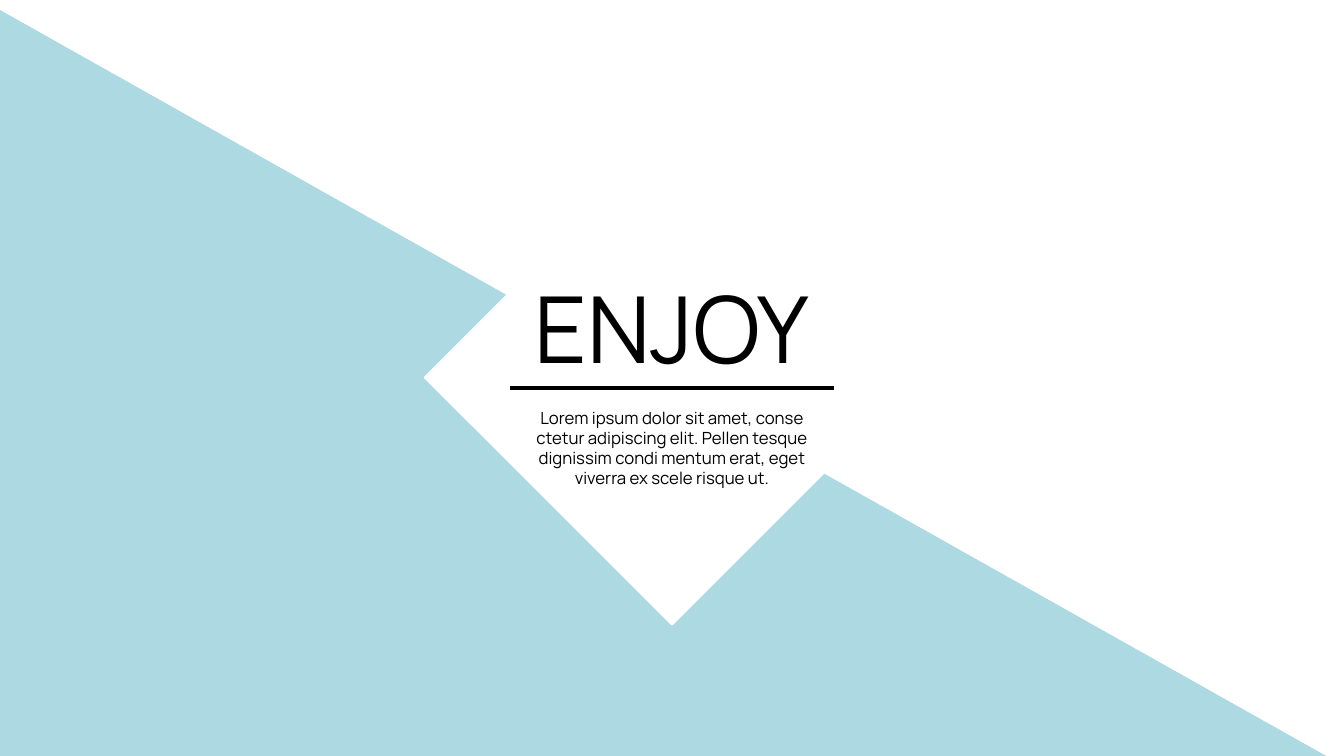
"""Build the closing slide: a split diagonal backdrop with a diamond and a message."""
from dataclasses import dataclass

from lxml.etree import SubElement
from pptx import Presentation
from pptx.dml.color import RGBColor
from pptx.enum.shapes import MSO_CONNECTOR as CONN, MSO_SHAPE as SHAPE
from pptx.enum.text import MSO_ANCHOR as ANCHOR, MSO_AUTO_SIZE as FIT, PP_ALIGN as ALIGN
from pptx.oxml.ns import qn
from pptx.shapes.placeholder import SlidePlaceholder
from pptx.slide import Slide
from pptx.util import Inches, Pt


@dataclass(frozen=True)
class Theme:
    """Colours, font and type sizes of the slide."""
    blue: RGBColor = RGBColor.from_string("ACD9E2")
    white: RGBColor = RGBColor.from_string("FFFFFF")
    black: RGBColor = RGBColor.from_string("000000")
    font: str = "Manrope"
    title: float = 66
    body: float = 12


@dataclass(frozen=True)
class Box:
    """A rectangle in inches."""
    left: float
    top: float
    width: float
    height: float

    def emu(self) -> tuple[int, ...]:
        """Return the rectangle as lengths for a shape."""
        return tuple(Inches(v) for v in (self.left, self.top, self.width, self.height))


@dataclass(frozen=True)
class Panel:
    """A filled shape with an outline of the same colour."""
    kind: SHAPE
    box: Box
    color: RGBColor


@dataclass(frozen=True)
class Rule:
    """A straight line between two points in inches."""
    start: tuple[float, float]
    end: tuple[float, float]
    color: RGBColor
    weight: float


THEME = Theme()
WIDTH, HEIGHT = 13.33, 7.5
PANELS = (
    Panel(SHAPE.RIGHT_TRIANGLE, Box(0, 0, WIDTH, HEIGHT), THEME.blue),
    Panel(SHAPE.DIAMOND, Box(4.21, 1.29, 4.91, 4.91), THEME.white),
)
RULES = (
    Rule((0, 0), (WIDTH, HEIGHT), THEME.white, 12.25),
    Rule((5.06, 3.85), (8.27, 3.85), THEME.black, 3),
)
MESSAGE = ("Lorem ipsum dolor sit amet, conse ctetur adipiscing elit. Pellen tesque "
           "dignissim condi mentum erat, eget viverra ex scele risque ut.")


def add_panel(s: Slide, panel: Panel) -> None:
    """Draw one filled panel."""
    sp = s.shapes.add_shape(panel.kind, *panel.box.emu())
    sp.shadow.inherit = False
    sp.fill.solid()
    sp.fill.fore_color.rgb = panel.color
    sp.line.color.rgb = panel.color
    sp.line.width = Pt(1)


def add_rule(s: Slide, rule: Rule) -> None:
    """Draw one straight line without a shadow."""
    ends = (Inches(v) for v in (*rule.start, *rule.end))
    ln = s.shapes.add_connector(CONN.STRAIGHT, *ends)
    ln.line.color.rgb = rule.color
    ln.line.width = Pt(rule.weight)
    SubElement(ln.element.spPr, qn("a:effectLst"))


def put_text(sp: SlidePlaceholder, text: str, *, box: Box, size: float,
             color: RGBColor = THEME.black, font: str = THEME.font) -> None:
    """Place centred text in a placeholder and bring it to the front."""
    sp.left, sp.top, sp.width, sp.height = box.emu()
    sp.element.getparent().append(sp.element)
    tf = sp.text_frame
    tf.word_wrap = True
    tf.auto_size = FIT.SHAPE_TO_FIT_TEXT
    tf.vertical_anchor = ANCHOR.TOP
    p = tf.paragraphs[0]
    p.alignment = ALIGN.CENTER
    p.space_before = Pt(0)
    r = p.add_run()
    r.text = text
    r.font.name, r.font.size = font, Pt(size)
    r.font.color.rgb = color


def main() -> None:
    """Build and save the slide."""
    prs = Presentation()
    prs.slide_width, prs.slide_height = Inches(WIDTH), Inches(HEIGHT)
    s = prs.slides.add_slide(prs.slide_layouts[0])
    for panel in PANELS:
        add_panel(s, panel)
    for rule in RULES:
        add_rule(s, rule)
    title, body = s.placeholders
    put_text(title, "ENJOY", box=Box(4.42, 2.64, 4.49, 1.21), size=THEME.title)
    put_text(body, MESSAGE, box=Box(5.14, 3.99, 3.05, 0.91), size=THEME.body)
    prs.save("out.pptx")


if __name__ == "__main__":
    main()
